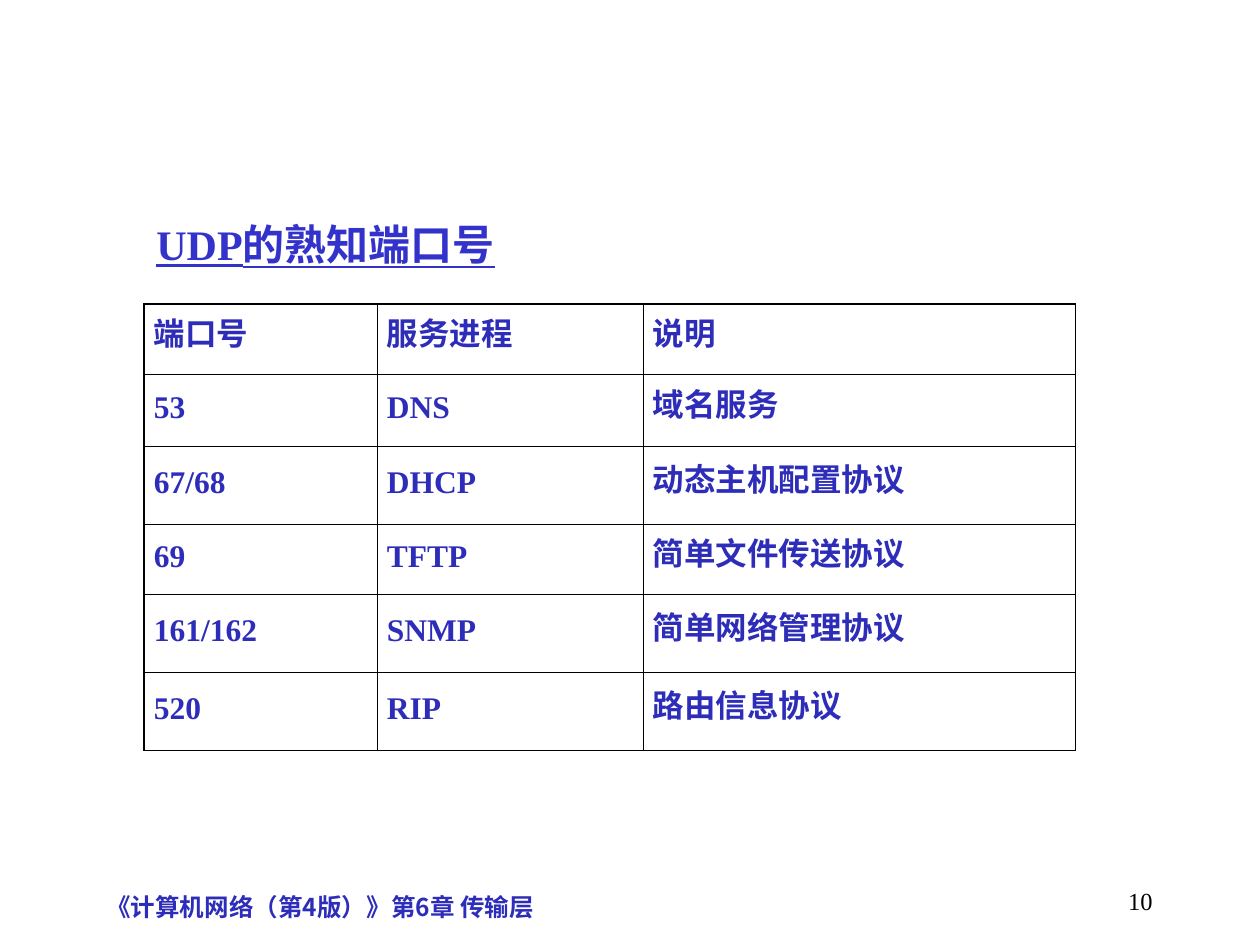
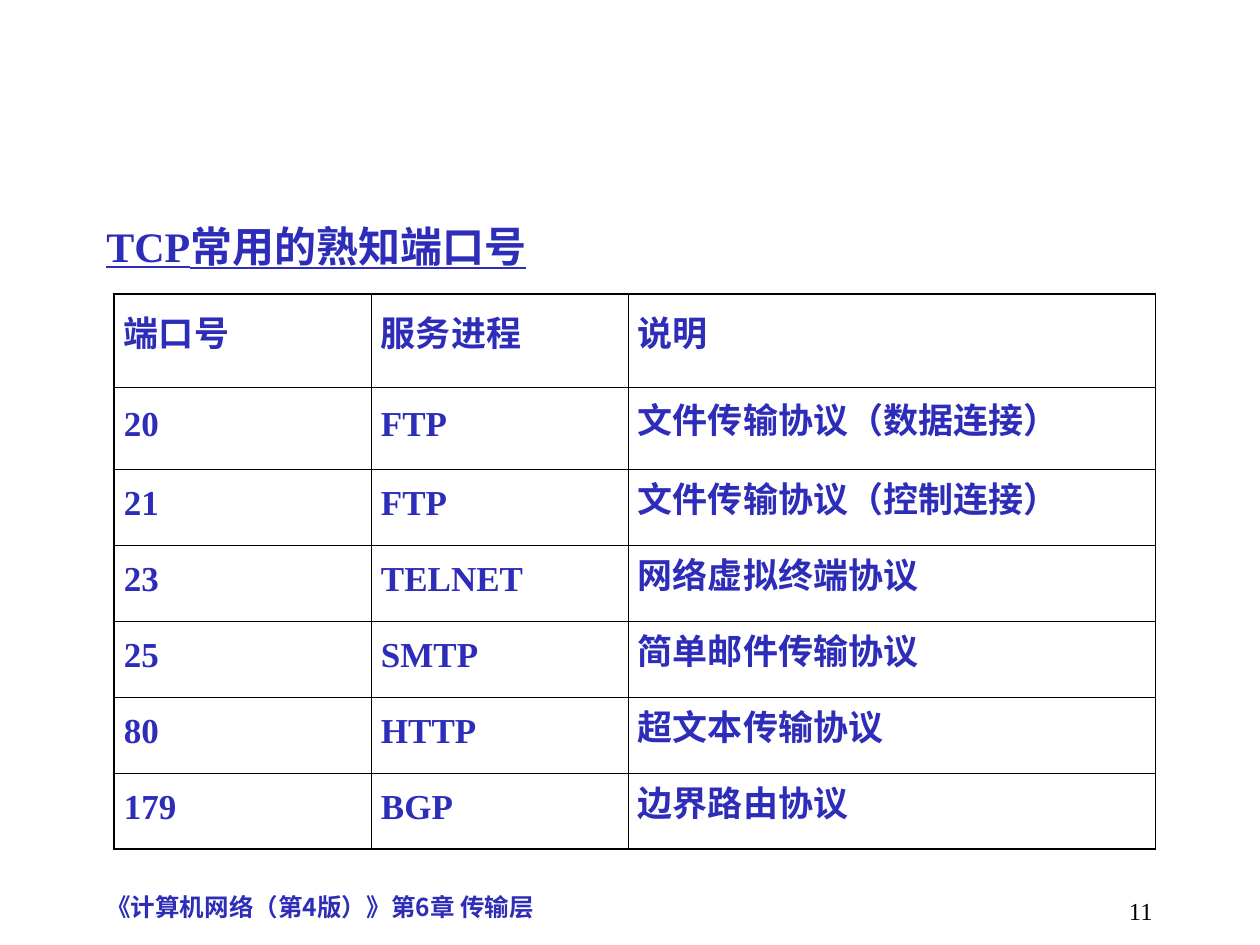
import dataclasses

import pptx
import pptx.dml.color
import pptx.enum.text
import pptx.oxml.ns
import pptx.util
from lxml import etree

# Shared scale, colours and fonts
SCALE = pptx.util.Inches(1) / 126
BLUE = pptx.dml.color.RGBColor(0x33, 0x33, 0xCC)
NAVY = pptx.dml.color.RGBColor(0x2D, 0x2D, 0xB9)
BLACK = pptx.dml.color.RGBColor(0, 0, 0)
SERIF = "Times New Roman"
SANS = "Noto Sans CJK JP"
THICK, THIN = 0.75, 0.45
TOP = pptx.enum.text.MSO_ANCHOR.TOP
MIDDLE = pptx.enum.text.MSO_ANCHOR.MIDDLE
LEFT = pptx.enum.text.PP_ALIGN.LEFT
RIGHT = pptx.enum.text.PP_ALIGN.RIGHT

FOOTER = "《计算机网络（第4版）》第6章 传输层"
HEADER = ("端口号", "服务进程", "说明")


@dataclasses.dataclass(frozen=True)
class Style:
    size: int
    color: pptx.dml.color.RGBColor
    font: str = SERIF
    bold: bool = True
    line: bool = False


@dataclasses.dataclass(frozen=True)
class Box:
    left: int
    top: int
    width: int
    height: int


@dataclasses.dataclass(frozen=True)
class Grid:
    left: int
    top: int
    cols: tuple[int, ...]
    rows: tuple[int, ...]
    size: int
    foot: float
    ports: tuple[tuple[str, str, str], ...]


@dataclasses.dataclass(frozen=True)
class Page:
    title: str
    color: pptx.dml.color.RGBColor
    box: Box
    anchor: pptx.enum.text.MSO_ANCHOR
    grid: Grid
    number: str
    spot: Box


PAGES = (
    Page(
        "UDP的熟知端口号", BLUE, Box(144, 165, 1051, 158), MIDDLE,
        Grid(
            144, 304, (233, 266, 433), (70, 72, 78, 70, 78, 78), 18, THIN,
            (
                ("53", "DNS", "域名服务"),
                ("67/68", "DHCP", "动态主机配置协议"),
                ("69", "TFTP", "简单文件传送协议"),
                ("161/162", "SNMP", "简单网络管理协议"),
                ("520", "RIP", "路由信息协议"),
            ),
        ),
        "10", Box(903, 880, 262, 44),
    ),
    Page(
        "TCP常用的熟知端口号", NAVY, Box(94, 214, 1132, 625), TOP,
        Grid(
            114, 294, (257, 257, 528), (93, 82) + (76,) * 5, 20, THICK,
            (
                ("20", "FTP", "文件传输协议（数据连接）"),
                ("21", "FTP", "文件传输协议（控制连接）"),
                ("23", "TELNET", "网络虚拟终端协议"),
                ("25", "SMTP", "简单邮件传输协议"),
                ("80", "HTTP", "超文本传输协议"),
                ("179", "BGP", "边界路由协议"),
            ),
        ),
        "11", Box(903, 890, 262, 35),
    ),
)


def px(count: int) -> int:
    return round(count * SCALE)


def format_text(para, style: Style) -> None:
    for run in para.runs:
        font = run.font
        font.size = pptx.util.Pt(style.size)
        font.bold = style.bold
        font.underline = style.line
        font.color.rgb = style.color
        font.name = style.font
        asian = etree.SubElement(run._r.get_or_add_rPr(), pptx.oxml.ns.qn("a:ea"))
        asian.set("typeface", SANS)


def add_text(slide, box: Box, text: str, style: Style,
             anchor=TOP, align=LEFT, inset: int = 6) -> None:
    shape = slide.shapes.add_textbox(
        px(box.left), px(box.top), px(box.width), px(box.height))
    frame = shape.text_frame
    frame.word_wrap = True
    frame.vertical_anchor = anchor
    frame.margin_top = px(inset)
    frame.text = text
    para = frame.paragraphs[0]
    para.alignment = align
    format_text(para, style)


def add_edge(cell, side: str, width: float) -> None:
    qn = pptx.oxml.ns.qn
    edge = etree.SubElement(cell._tc.get_or_add_tcPr(), qn(f"a:ln{side}"))
    edge.set("w", str(pptx.util.Pt(width)))
    fill = etree.SubElement(edge, qn("a:solidFill"))
    etree.SubElement(fill, qn("a:srgbClr")).set("val", str(BLACK))


def add_grid(slide, grid: Grid) -> None:
    lines = (HEADER,) + grid.ports
    table = slide.shapes.add_table(
        len(lines), len(HEADER), px(grid.left), px(grid.top),
        px(sum(grid.cols)), px(sum(grid.rows))).table
    table.first_row = table.horz_banding = False
    for col, width in zip(table.columns, grid.cols):
        col.width = px(width)
    for row, height in zip(table.rows, grid.rows):
        row.height = px(height)
    style = Style(grid.size, NAVY)
    for i, line in enumerate(lines):
        for j, text in enumerate(line):
            cell = table.cell(i, j)
            cell.margin_left = cell.margin_right = px(10)
            cell.margin_top = cell.margin_bottom = px(6)
            cell.vertical_anchor = MIDDLE
            cell.text_frame.text = text
            para = cell.text_frame.paragraphs[0]
            para.line_spacing = pptx.util.Pt(18)
            format_text(para, style)
            # Heavier lines around the outside
            add_edge(cell, "L", THICK if j == 0 else THIN)
            add_edge(cell, "R", THICK if j == len(line) - 1 else THIN)
            add_edge(cell, "T", THICK if i == 0 else THIN)
            add_edge(cell, "B", grid.foot if i == len(lines) - 1 else THIN)
            cell.fill.background()


def add_page(deck, page: Page) -> None:
    slide = deck.slides.add_slide(deck.slide_layouts[6])
    # Title and port table
    add_text(slide, page.box, page.title, Style(24, page.color, line=True), page.anchor)
    add_grid(slide, page.grid)
    # Footer and page number
    add_text(slide, Box(94, 859, 735, 64), FOOTER, Style(14, NAVY, SANS), inset=33)
    add_text(slide, page.spot, page.number, Style(14, BLACK, bold=False), align=RIGHT)


def main() -> None:
    deck = pptx.Presentation()
    deck.slide_width, deck.slide_height = px(1260), px(945)
    for page in PAGES:
        add_page(deck, page)
    deck.save("out.pptx")


if __name__ == "__main__":
    main()
